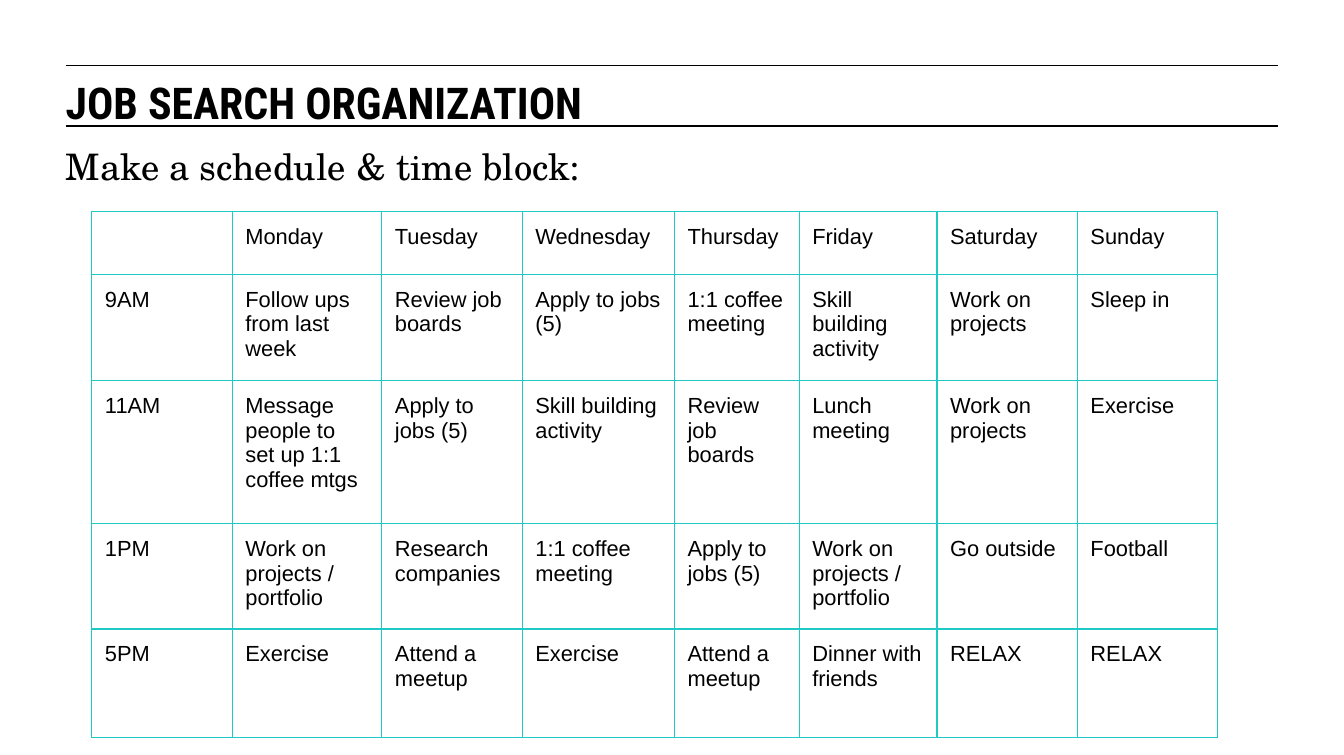
from lxml.etree import SubElement
from pptx import Presentation
from pptx.dml.color import RGBColor as Rgb
from pptx.enum.shapes import MSO_CONNECTOR as Connector
from pptx.oxml import parse_xml
from pptx.oxml.ns import nsdecls, qn
from pptx.util import Inches, Pt

WIDTH, HEIGHT = 10.24, 5.75
MARGIN = 0.5
COLORS = {"ink": "000000", "grid": "1EC9C6"}
FONTS = {"title": "Roboto Condensed", "lead": "TeX Gyre Schola", "table": "Arial"}

DAY_WIDTHS = [1.07, 1.14, 1.07, 1.16, 0.95, 1.05, 1.07, 1.07]
SLOT_HEIGHTS = [0.48, 0.81, 1.09, 0.8, 0.83]
PORTFOLIO = "Work on projects /\nportfolio"
SCHEDULE = [
    ["", "Monday", "Tuesday", "Wednesday", "Thursday", "Friday", "Saturday", "Sunday"],
    ["9AM", "Follow ups from last week", "Review job boards", "Apply to jobs (5)",
     "1:1 coffee meeting", "Skill building activity", "Work on projects", "Sleep in"],
    ["11AM", "Message people to set up 1:1 coffee mtgs", "Apply to jobs (5)",
     "Skill building activity", "Review job boards", "Lunch meeting",
     "Work on projects", "Exercise"],
    ["1PM", PORTFOLIO, "Research companies", "1:1 coffee meeting",
     "Apply to jobs (5)", PORTFOLIO, "Go outside", "Football"],
    ["5PM", "Exercise", "Attend a meetup", "Exercise", "Attend a meetup",
     "Dinner with friends", "RELAX", "RELAX"],
]


def style_runs(frame, font, size, bold=False):
    for paragraph in frame.paragraphs:
        for run in paragraph.runs:
            run.font.name = font
            run.font.size = Pt(size)
            run.font.bold = bold
            run.font.color.rgb = Rgb.from_string(COLORS["ink"])


def add_label(slide, text, box, font, size, bold=False):
    frame = slide.shapes.add_textbox(*map(Inches, box)).text_frame
    frame.margin_left = frame.margin_right = 0
    frame.margin_top = frame.margin_bottom = 0
    frame.word_wrap = True
    frame.text = text
    style_runs(frame, font, size, bold)


def add_rule(slide, left, y, width):
    rule = slide.shapes.add_connector(
        Connector.STRAIGHT, *map(Inches, (left, y, left + width, y)))
    rule.line.color.rgb = Rgb.from_string(COLORS["ink"])
    rule.line.width = Pt(0.75)
    SubElement(rule._element.spPr, qn("a:effectLst"))


def add_heading(slide, left, top, width):
    # Title between two rules, lead sentence below
    for offset in (0, 0.46):
        add_rule(slide, left, top + offset, width)
    add_label(slide, "JOB SEARCH ORGANIZATION", (left, top + 0.08, width, 0.34),
              FONTS["title"], 24, bold=True)
    add_label(slide, "Make a schedule & time block:", (left, top + 0.6, width, 0.4),
              FONTS["lead"], 20)


def set_borders(cell):
    properties = cell._tc.get_or_add_tcPr()
    for position, side in enumerate(("lnL", "lnR", "lnT", "lnB")):
        properties.insert(position, parse_xml(
            f'<a:{side} {nsdecls("a")} w="{Pt(0.75)}"><a:solidFill>'
            f'<a:srgbClr val="{COLORS["grid"]}"/></a:solidFill></a:{side}>'))


def add_schedule(slide, left, top):
    box = map(Inches, (left, top, sum(DAY_WIDTHS), sum(SLOT_HEIGHTS)))
    table = slide.shapes.add_table(len(SCHEDULE), len(DAY_WIDTHS), *box).table
    table.first_row = table.horz_banding = False
    for column, width in zip(table.columns, DAY_WIDTHS):
        column.width = Inches(width)
    for row, height, activities in zip(table.rows, SLOT_HEIGHTS, SCHEDULE):
        row.height = Inches(height)
        for cell, activity in zip(row.cells, activities):
            # The empty corner takes a smaller inset so its row stays low
            inset = Inches(0.1 if activity else 0.05)
            cell.margin_left = cell.margin_right = inset
            cell.margin_top = cell.margin_bottom = inset
            cell.text = activity
            cell.fill.background()
            style_runs(cell.text_frame, FONTS["table"], 12)
            set_borders(cell)


def main():
    deck = Presentation()
    deck.slide_width, deck.slide_height = Inches(WIDTH), Inches(HEIGHT)
    slide = deck.slides.add_slide(deck.slide_layouts[6])
    add_heading(slide, MARGIN, MARGIN, WIDTH - 2 * MARGIN)
    add_schedule(slide, 0.7, 1.61)
    deck.save("out.pptx")


if __name__ == "__main__":
    main()
